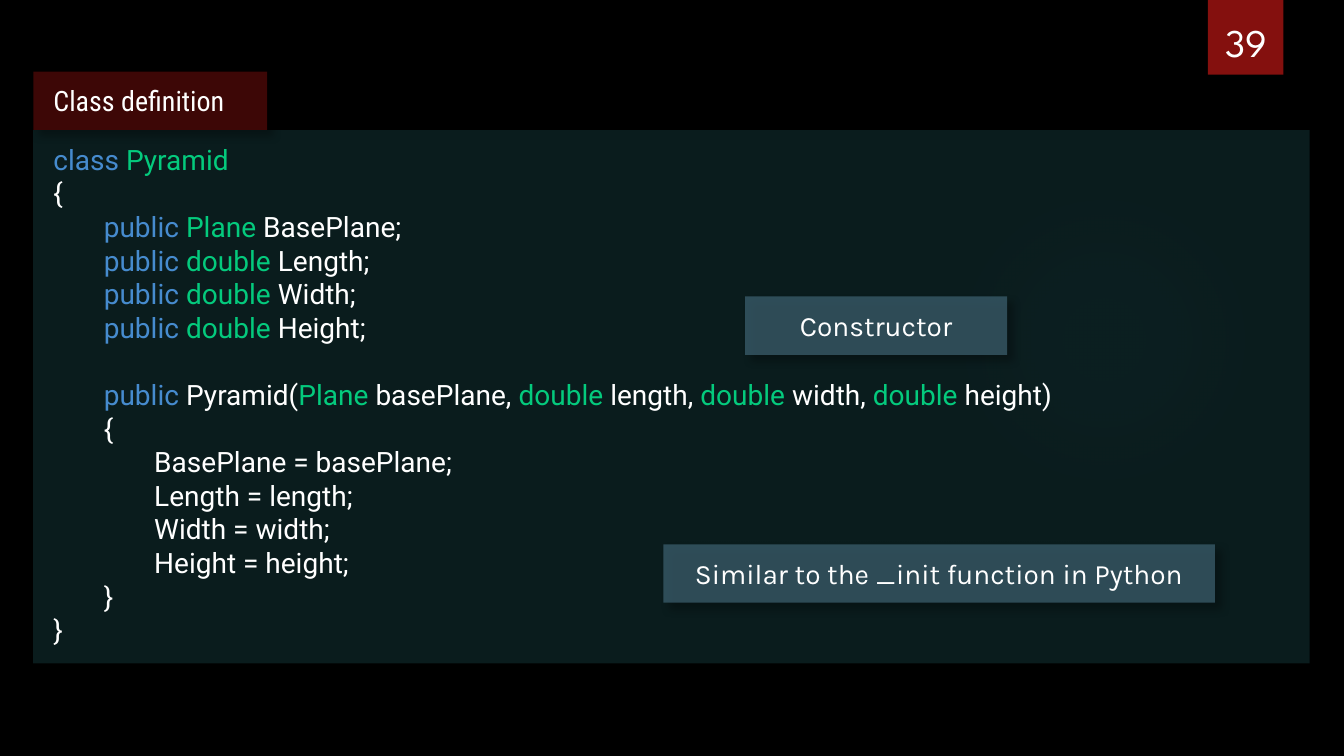
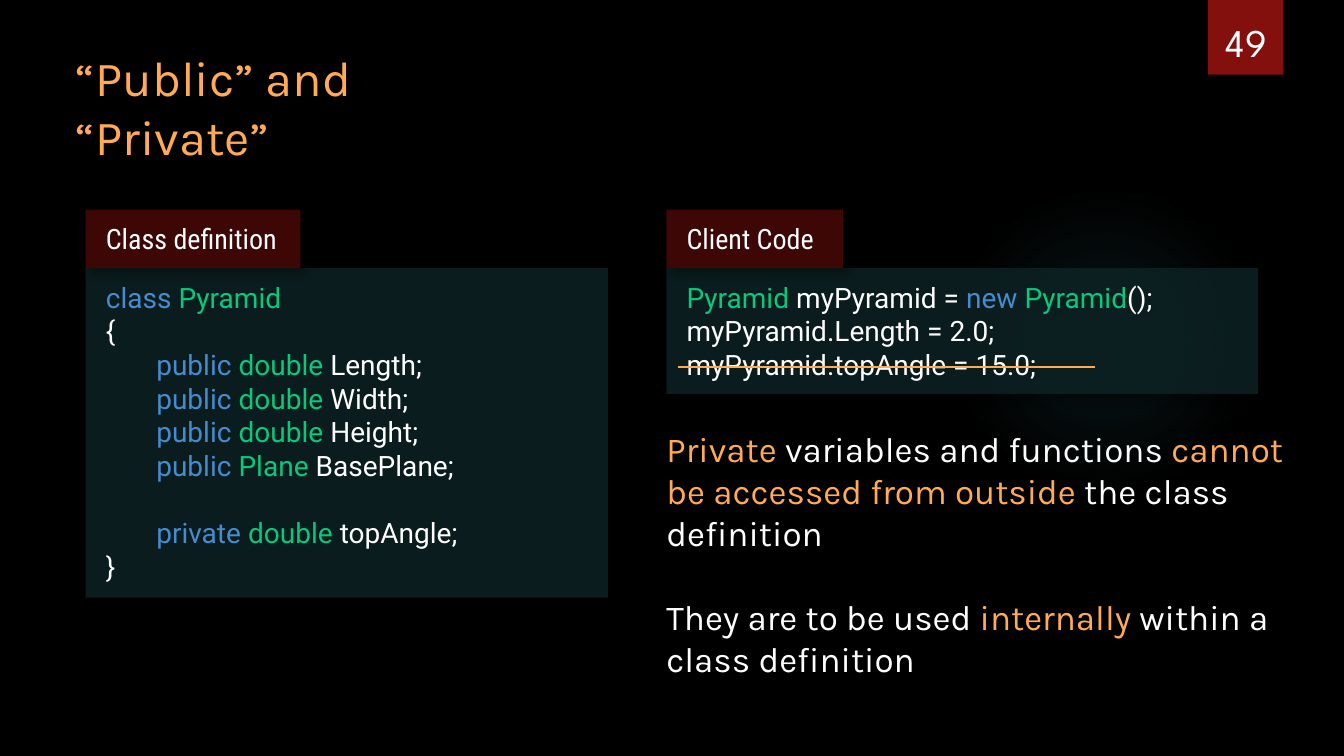
from lxml import etree
from pptx import Presentation
from pptx.dml.color import RGBColor
from pptx.enum import shapes, text
from pptx.oxml import ns
from pptx.util import Inches, Pt

COLORS = {
    "background": "000000",
    "text": "FFFFFF",
    "keyword": "468BCE",
    "type": "04CA7D",
    "accent": "FFAA55",
    "panel": "0F282A",
    "tab": "580A09",
    "callout": "3F6373",
    "badge": "84100E",
    "glow": "50B9C1",
}
MARKS = {"k": "keyword", "t": "type", "a": "accent"}
TAB_HEIGHT = 0.58
LINE_HEIGHT = 1.2


def rgb(name):
    return RGBColor.from_string(COLORS[name])


def sub(parent, tag, **attrs):
    return etree.SubElement(parent, ns.qn(tag), {k: str(v) for k, v in attrs.items()})


def write(p, content, font, size, color="text", align=text.PP_ALIGN.LEFT, indent=0, before=0):
    """Fill a paragraph; segments between bars may start with a colour mark such as "k:"."""
    pPr = p._p.get_or_add_pPr()
    pPr.set("marL", str(Inches(indent)))
    pPr.set("indent", "0")
    sub(pPr, "a:buNone")
    p.alignment = align
    p.space_before = Pt(before)
    for segment in content.split("|"):
        name = color
        if segment[1:2] == ":":
            name, segment = MARKS[segment[0]], segment[2:]
        r = p.add_run()
        r.text = segment
        r.font.name, r.font.size = font, Pt(size)
        r.font.color.rgb = rgb(name)


def write_lines(tf, lines, font, size, **fmt):
    """Leading tabs set the indent; an empty line becomes space before the next one."""
    p, before = None, 0
    for line in lines:
        if not line:
            before = size * LINE_HEIGHT
            continue
        p = tf.add_paragraph() if p is not None else tf.paragraphs[0]
        content = line.lstrip("\t")
        write(p, content, font, size, indent=0.5 * (len(line) - len(content)), before=before, **fmt)
        before = 0


def frame(sp, inset=(0.1, 0.05), anchor=text.MSO_ANCHOR.TOP):
    tf = sp.text_frame
    tf.word_wrap = True
    tf.auto_size = text.MSO_AUTO_SIZE.NONE
    tf.vertical_anchor = anchor
    tf.margin_left = tf.margin_right = Inches(inset[0])
    tf.margin_top = tf.margin_bottom = Inches(inset[1])
    return tf


def place(sp, x, y, w, h):
    sp.left, sp.top, sp.width, sp.height = map(Inches, (x, y, w, h))


class Deck:
    TITLE_AND_BODY, BLANK = 1, 6

    def __init__(self):
        self.prs = Presentation()
        self.prs.slide_width, self.prs.slide_height = Inches(13.33), Inches(7.5)
        fill = self.prs.slide_master.background.fill
        fill.solid()
        fill.fore_color.rgb = rgb("background")

    def new_slide(self, number, layout):
        self.s = self.prs.slides.add_slide(self.prs.slide_layouts[layout])
        self.glow(9.41, 1.83, 3.08)
        self.rect(11.98, 0, 0.75, 0.74, "badge", alpha=100, blur=12, distance=5)
        sp = self.s.shapes.add_textbox(Inches(11.9), 0, Inches(0.92), Inches(0.7))
        tf = frame(sp, anchor=text.MSO_ANCHOR.BOTTOM)
        write(tf.paragraphs[0], str(number), "League Spartan", 28, align=text.PP_ALIGN.CENTER)

    def glow(self, x, y, size):
        sp = self.s.shapes.add_shape(
            shapes.MSO_SHAPE.OVAL, Inches(x), Inches(y), Inches(size), Inches(size))
        sp.shadow.inherit = False
        sp.line.fill.background()
        sp.fill.background()
        spPr = sp.element.spPr
        grad = etree.Element(ns.qn("a:gradFill"))
        stops = sub(grad, "a:gsLst")
        for pos, alpha in ((0, 7), (36, 6), (69, 0)):
            stop = sub(stops, "a:gs", pos=pos * 1000)
            sub(sub(stop, "a:srgbClr", val=COLORS["glow"]), "a:alpha", val=alpha * 1000)
        circle = sub(grad, "a:path", path="circle")
        sub(circle, "a:fillToRect", l=50000, t=50000, r=50000, b=50000)
        spPr.replace(spPr.find(ns.qn("a:noFill")), grad)

    def rect(self, x, y, w, h, color, alpha=70, blur=6, distance=6):
        sp = self.s.shapes.add_shape(
            shapes.MSO_SHAPE.RECTANGLE, Inches(x), Inches(y), Inches(w), Inches(h))
        sp.line.fill.background()
        sp.fill.solid()
        sp.fill.fore_color.rgb = rgb(color)
        sp.shadow.inherit = False
        spPr = sp.element.spPr
        if alpha < 100:
            sub(spPr.find(ns.qn("a:solidFill"))[0], "a:alpha", val=alpha * 1000)
        shadow = sub(spPr.find(ns.qn("a:effectLst")), "a:outerShdw", blurRad=Pt(blur),
                     dist=Pt(distance), dir=45 * 60000, algn="tl", rotWithShape=0)
        sub(sub(shadow, "a:srgbClr", val="000000"), "a:alpha", val=40000)
        return sp

    def label(self, x, y, w, h, lines, fill, font, **fmt):
        tf = frame(self.rect(x, y, w, h, fill), inset=(0.2, 0.12))
        write_lines(tf, lines, font, 20, **fmt)

    def code(self, x, y, w, h, heading, tab_width, lines):
        """Code panel with its heading tab sitting on the top edge."""
        self.label(x, y, w, h, lines, "panel", "Roboto")
        self.label(x, y - TAB_HEIGHT, tab_width, TAB_HEIGHT, [heading], "tab", "Roboto Condensed")

    def callout(self, x, y, w, content):
        self.label(x, y, w, TAB_HEIGHT, [content], "callout", "Karla", align=text.PP_ALIGN.CENTER)

    def title(self, x, y, w, h, content):
        sp = self.s.shapes.title
        place(sp, x, y, w, h)
        write_lines(frame(sp), [content], "Karla", 35, color="accent")

    def body(self, x, y, w, h, lines):
        sp = self.s.placeholders[1]
        place(sp, x, y, w, h)
        write_lines(frame(sp), lines, "Karla", 25)

    def strike(self, x1, x2, y):
        line = self.s.shapes.add_connector(
            shapes.MSO_CONNECTOR.STRAIGHT, Inches(x1), Inches(y), Inches(x2), Inches(y))
        line.line.color.rgb = rgb("accent")
        line.line.width = Pt(1.5)
        sub(line.element.spPr, "a:effectLst")


def field(kind, name, access="public"):
    return f"\tk:{access} |t:{kind} |{name};".replace("\tk", "\tk")


def main():
    deck = Deck()
    opening = ["k:class |t:Pyramid", "{"]
    base = field("Plane", "BasePlane")
    sizes = [field("double", name) for name in ("Length", "Width", "Height")]

    deck.new_slide(39, Deck.BLANK)
    deck.code(0.33, 1.29, 12.66, 5.29, "Class definition", 2.32, [
        *opening, base, *sizes, "",
        "\tk:public| Pyramid(|t:Plane |basePlane, |t:double| length, "
        "|t:double| width, |t:double| height)",
        "\t{",
        "\t\tBasePlane = basePlane;",
        "\t\tLength = length;",
        "\t\tWidth = width;",
        "\t\tHeight = height;",
        "\t}",
        "}",
    ])
    deck.callout(7.39, 2.94, 2.6, "Constructor")
    deck.callout(6.58, 5.4, 5.47, "Similar to the _init function in Python")

    deck.new_slide(49, Deck.TITLE_AND_BODY)
    deck.title(0.65, 0.42, 3.6, 1.3, "“Public” and “Private”")
    deck.code(0.85, 2.66, 5.18, 3.27, "Class definition", 2.13, [
        *opening, *sizes, base, "", field("double", "topAngle", "private"), "}",
    ])
    deck.code(6.61, 2.66, 5.87, 1.25, "Client Code", 1.75, [
        "t:Pyramid |myPyramid = |k:new |t:Pyramid|();",
        "myPyramid.Length = 2.0;",
        "myPyramid.topAngle = 15.0;",
    ])
    deck.strike(6.72, 10.86, 3.64)
    deck.body(6.51, 4.19, 6.42, 3.05, [
        "a:Private| variables and functions|a: cannot be accessed from outside |"
        "the class definition",
        "",
        "They are to be used |a:internally| within a class definition",
    ])
    deck.prs.save("out.pptx")


if __name__ == "__main__":
    main()
